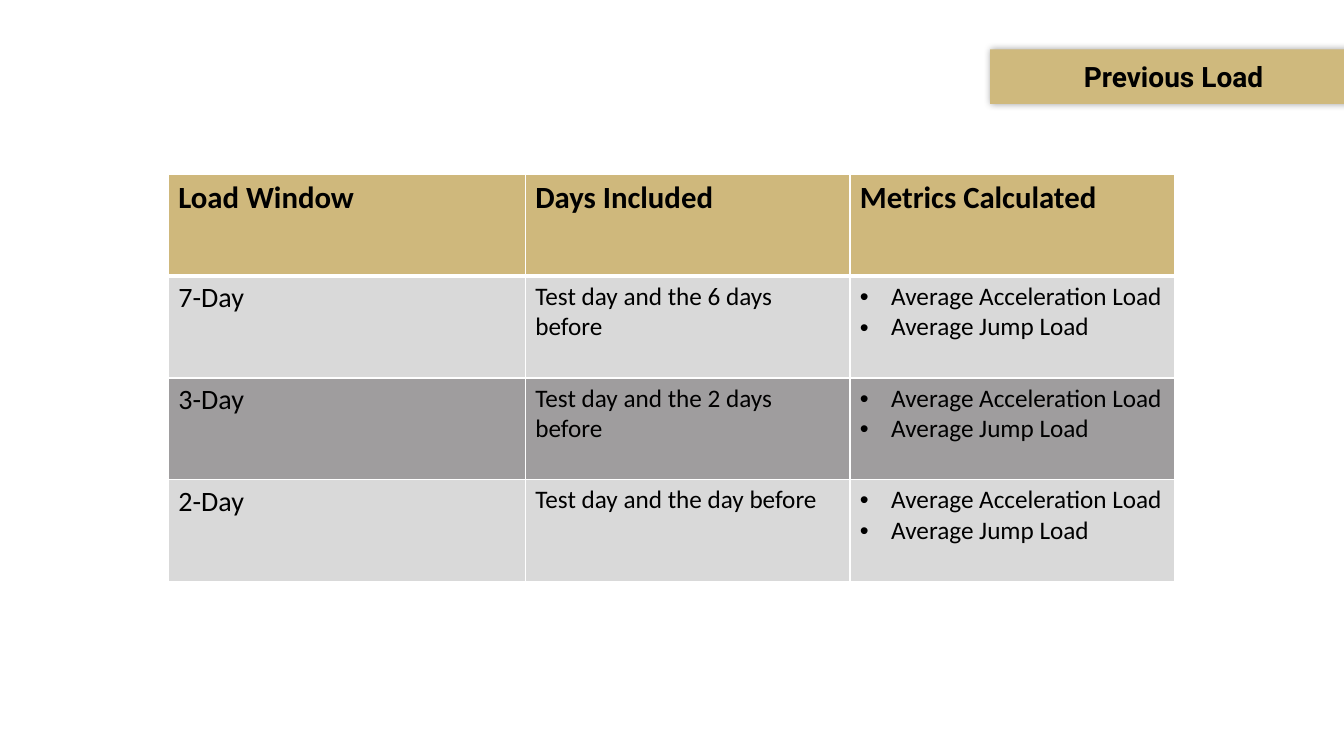
from lxml import etree
from pptx import Presentation
from pptx.dml.color import RGBColor
from pptx.enum import shapes, text
from pptx.oxml import ns
from pptx.util import Inches, Pt

# Content
TITLE = "Previous Load"
HEADS = ["Load Window", "Days Included", "Metrics Calculated"]
LOADS = ["Average Acceleration Load", "Average Jump Load"]
DAYS = [
    ("7-Day", "Test day and the 6 days before"),
    ("3-Day", "Test day and the 2 days before"),
    ("2-Day", "Test day and the day before"),
]

# Style
GOLD, BLACK, WHITE = "CFB87C", "000000", "FFFFFF"
BANDS = ["D9D9D9", "9F9D9E"]
SIZES = [20, 18, 18]
HEAD_SIZE = 22

# Layout
LEFT, TOP, ROW = 1.67, 1.73, 1.01
WIDTHS = [3.54, 3.22, 3.22]
INDENT = 0.31


def color(code):
    return RGBColor.from_string(code)


def paint(item, code):
    item.fill.solid()
    item.fill.fore_color.rgb = color(code)


def add(parent, tag, **attrs):
    node = etree.SubElement(parent, ns.qn(tag))
    for key, value in attrs.items():
        node.set(key, str(value))
    return node


def style(par, size, font="Calibri", bold=False):
    for run in par.runs:
        run.font.size = Pt(size)
        run.font.name = font
        run.font.bold = bold
        run.font.color.rgb = color(BLACK)


def bullet(par):
    props = par._p.get_or_add_pPr()
    props.set("marL", str(Inches(INDENT)))
    props.set("indent", str(-Inches(INDENT)))
    add(props, "a:buFont", typeface="Arial")
    add(props, "a:buChar", char="•")


def border(cell, top, bottom):
    props = cell._tc.get_or_add_tcPr()
    for side, width in zip("LRTB", (1, 1, top, bottom)):
        line = add(props, f"a:ln{side}", w=Pt(width))
        add(add(line, "a:solidFill"), "a:srgbClr", val=WHITE)


def shade(shape):
    glow = add(add(shape._element.spPr, "a:effectLst"), "a:outerShdw",
               blurRad=Pt(5), dist=0, dir=0, algn="ctr", rotWithShape=0)
    add(add(glow, "a:srgbClr", val=BLACK), "a:alpha", val=40000)


def add_title(slide):
    tab = slide.shapes.add_shape(shapes.MSO_SHAPE.RECTANGLE, Inches(9.82),
                                 Inches(0.49), Inches(3.64), Inches(0.54))
    paint(tab, "CFB97D")
    tab.line.fill.background()
    shade(tab)
    frame = tab.text_frame
    frame.margin_left = frame.margin_right = 0
    frame.margin_top = frame.margin_bottom = 0
    frame.vertical_anchor = text.MSO_ANCHOR.MIDDLE
    frame.text = TITLE
    par = frame.paragraphs[0]
    par.alignment = text.PP_ALIGN.CENTER
    style(par, 20, "Roboto", True)


def add_loads(slide):
    rows = [HEADS] + [(*day, "\n".join(LOADS)) for day in DAYS]
    table = slide.shapes.add_table(
        len(rows), len(HEADS), Inches(LEFT), Inches(TOP),
        Inches(sum(WIDTHS)), Inches(ROW * len(rows))).table
    for col, width in zip(table.columns, WIDTHS):
        col.width = Inches(width)
    for r, row in enumerate(rows):
        table.rows[r].height = Inches(ROW)
        head = r == 0
        for c, words in enumerate(row):
            cell = table.cell(r, c)
            border(cell, 3 if r == 1 else 1, 3 if head else 1)
            paint(cell, GOLD if head else BANDS[(r - 1) % 2])
            cell.text_frame.text = words
            for par in cell.text_frame.paragraphs:
                style(par, HEAD_SIZE if head else SIZES[c], bold=head)
                if c == 2 and not head:
                    bullet(par)


def main():
    deck = Presentation()
    deck.slide_width, deck.slide_height = Inches(13.33), Inches(7.5)
    slide = deck.slides.add_slide(deck.slide_layouts[6])
    add_title(slide)
    add_loads(slide)
    deck.save("out.pptx")


if __name__ == "__main__":
    main()
